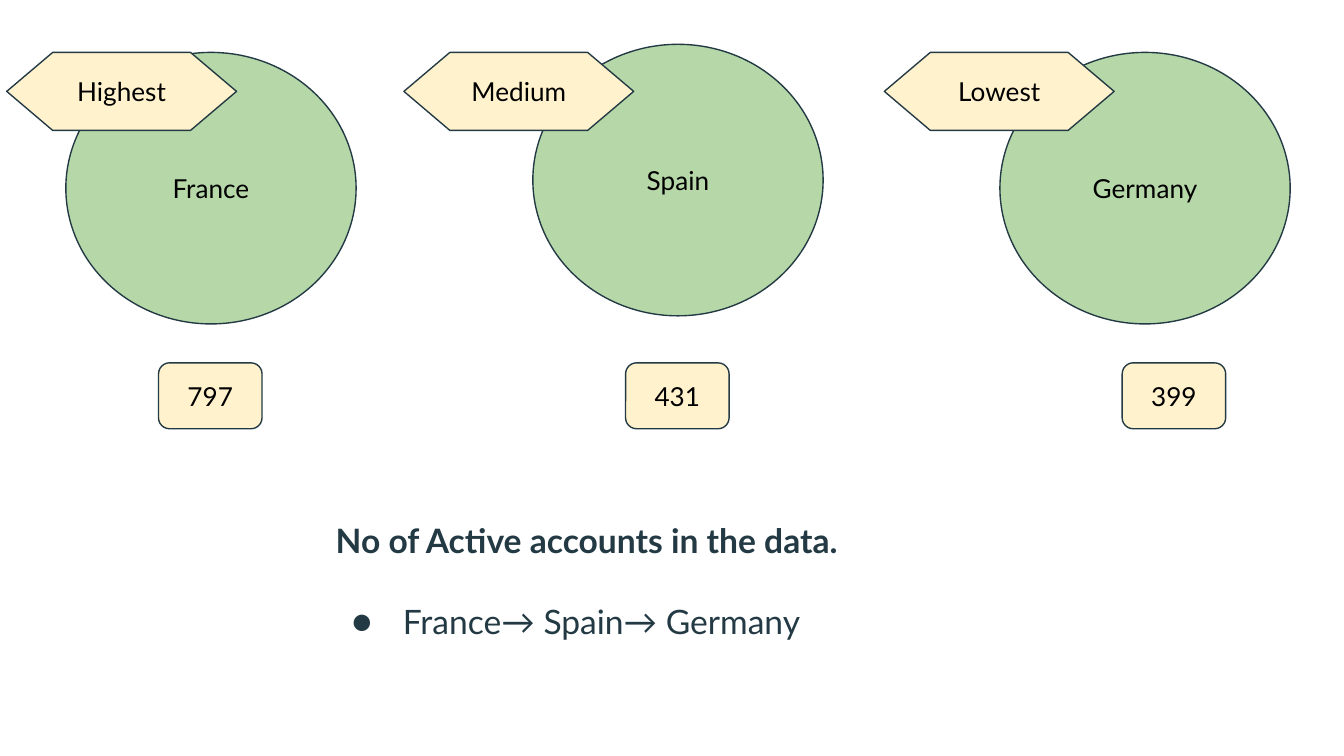
from lxml.etree import SubElement
from pptx import Presentation
from pptx.dml.color import RGBColor
from pptx.enum.shapes import MSO_SHAPE
from pptx.enum.text import MSO_ANCHOR, PP_ALIGN
from pptx.oxml.ns import qn
from pptx.util import Inches, Pt

FONT = "Lato"
INK, BLACK, GREEN, CREAM = "233A44", "000000", "B6D7A8", "FFF2CC"

# Grid: one column per country; shifts are measured from the column's left edge
FIRST_LEFT, LAST_LEFT = 0.49, 7.44
CIRCLE_SIZE, TAG_SIZE, COUNT_SIZE = (2.16, 2.02), (1.71, 0.58), (0.77, 0.49)
TOP_ROW, COUNT_ROW = 0.39, 2.7

# country, circle top, rank, rank shift, accounts, accounts shift
COUNTRIES = [
    ("France", TOP_ROW, "Highest", -0.44, "797", 0.69),
    ("Spain", 0.33, "Medium", -0.96, "431", 0.69),
    ("Germany", TOP_ROW, "Lowest", -0.86, "399", 0.91),
]


def color(hex_code):
    return RGBColor.from_string(hex_code)


def column_left(column):
    step = (LAST_LEFT - FIRST_LEFT) / (len(COUNTRIES) - 1)
    return FIRST_LEFT + column * step


def set_frame(frame, anchor):
    frame.word_wrap = True
    frame.vertical_anchor = anchor
    frame.margin_left = frame.margin_right = Inches(0.1)
    frame.margin_top = frame.margin_bottom = Inches(0.1)


def set_font(para, size, hex_code, bold=False):
    para.font.name = FONT
    para.font.size = Pt(size)
    para.font.bold = bold
    para.font.color.rgb = color(hex_code)


def add_label(page, kind, left, top, size, fill, text):
    """Add an outlined preset shape with centred text."""
    width, height = size
    label = page.shapes.add_shape(
        kind, Inches(left), Inches(top), Inches(width), Inches(height))
    label.shadow.inherit = False
    label.fill.solid()
    label.fill.fore_color.rgb = color(fill)
    label.line.color.rgb = color(INK)
    label.line.width = Pt(0.75)
    set_frame(label.text_frame, MSO_ANCHOR.MIDDLE)
    para = label.text_frame.paragraphs[0]
    para.text = text
    para.alignment = PP_ALIGN.CENTER
    set_font(para, 14, BLACK)


def add_bullet(para):
    properties = para._p.get_or_add_pPr()
    properties.set("marL", str(Inches(0.5)))
    properties.set("indent", str(Inches(-0.38)))
    bullet_color = SubElement(properties, qn("a:buClr"))
    SubElement(bullet_color, qn("a:srgbClr"), val=INK)
    SubElement(properties, qn("a:buFont"), typeface=FONT)
    SubElement(properties, qn("a:buChar"), char="●")


def add_summary(page):
    box = page.shapes.add_textbox(
        Inches(2.4), Inches(3.77), Inches(5.5), Inches(1.46))
    frame = box.text_frame
    set_frame(frame, MSO_ANCHOR.TOP)
    heading = frame.paragraphs[0]
    heading.text = "No of Active accounts in the data."
    set_font(heading, 18, INK, bold=True)
    ranking = frame.add_paragraph()
    ranking.text = "→ ".join(country[0] for country in COUNTRIES)
    ranking.space_before = Pt(21.6)
    add_bullet(ranking)
    set_font(ranking, 18, INK)


def main():
    deck = Presentation()
    deck.slide_width = Inches(10)
    deck.slide_height = deck.slide_width * 9 // 16
    page = deck.slides.add_slide(deck.slide_layouts[6])

    # Country circles
    for column, (country, top, *_) in enumerate(COUNTRIES):
        add_label(page, MSO_SHAPE.OVAL, column_left(column), top,
                  CIRCLE_SIZE, GREEN, country)

    # Heading and ranking
    add_summary(page)

    # Rank tags and account counts
    for column, (_, _, rank, rank_shift, count, count_shift) in enumerate(COUNTRIES):
        left = column_left(column)
        add_label(page, MSO_SHAPE.FLOWCHART_PREPARATION, left + rank_shift,
                  TOP_ROW, TAG_SIZE, CREAM, rank)
        add_label(page, MSO_SHAPE.ROUNDED_RECTANGLE, left + count_shift,
                  COUNT_ROW, COUNT_SIZE, CREAM, count)

    deck.save("out.pptx")


if __name__ == "__main__":
    main()
